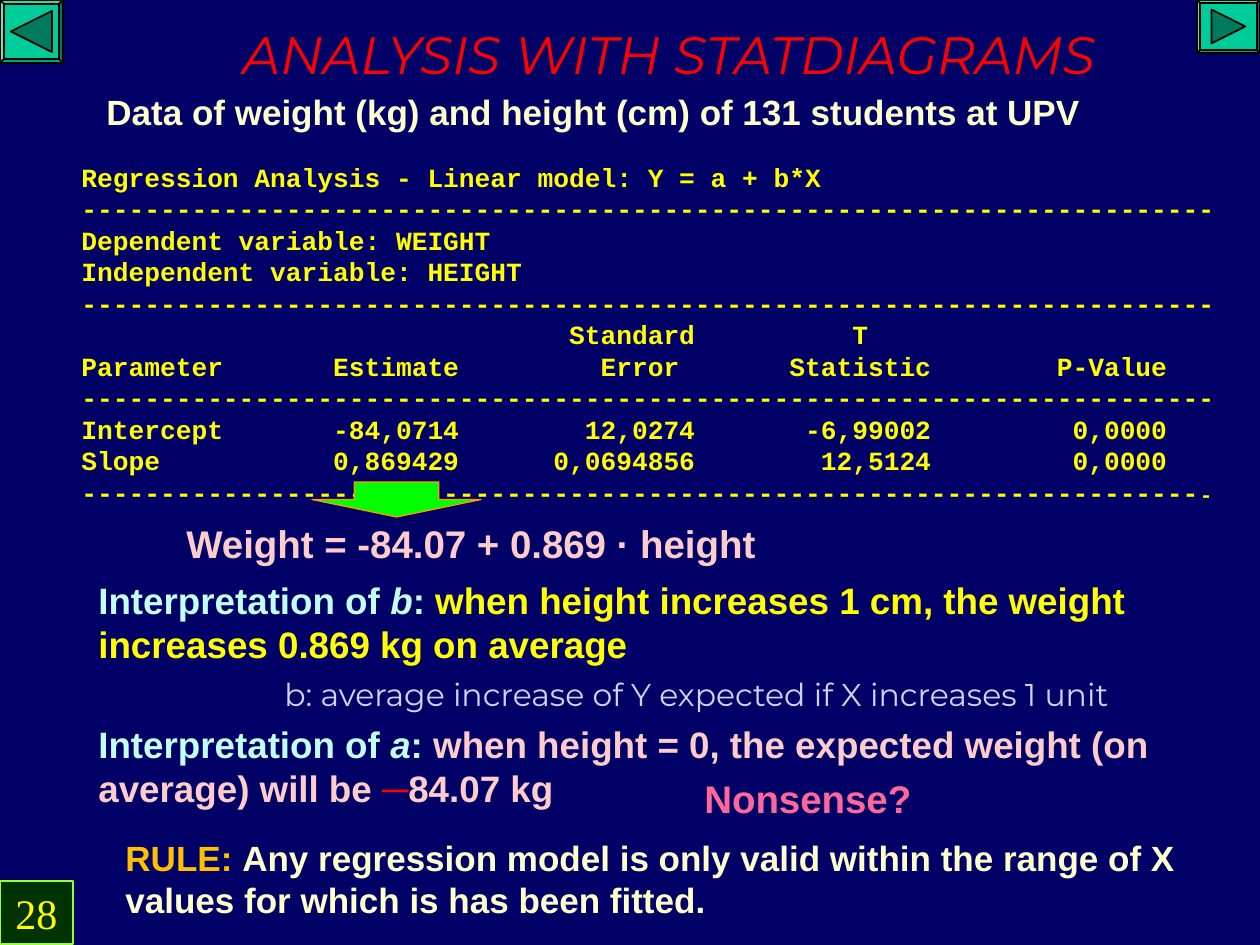
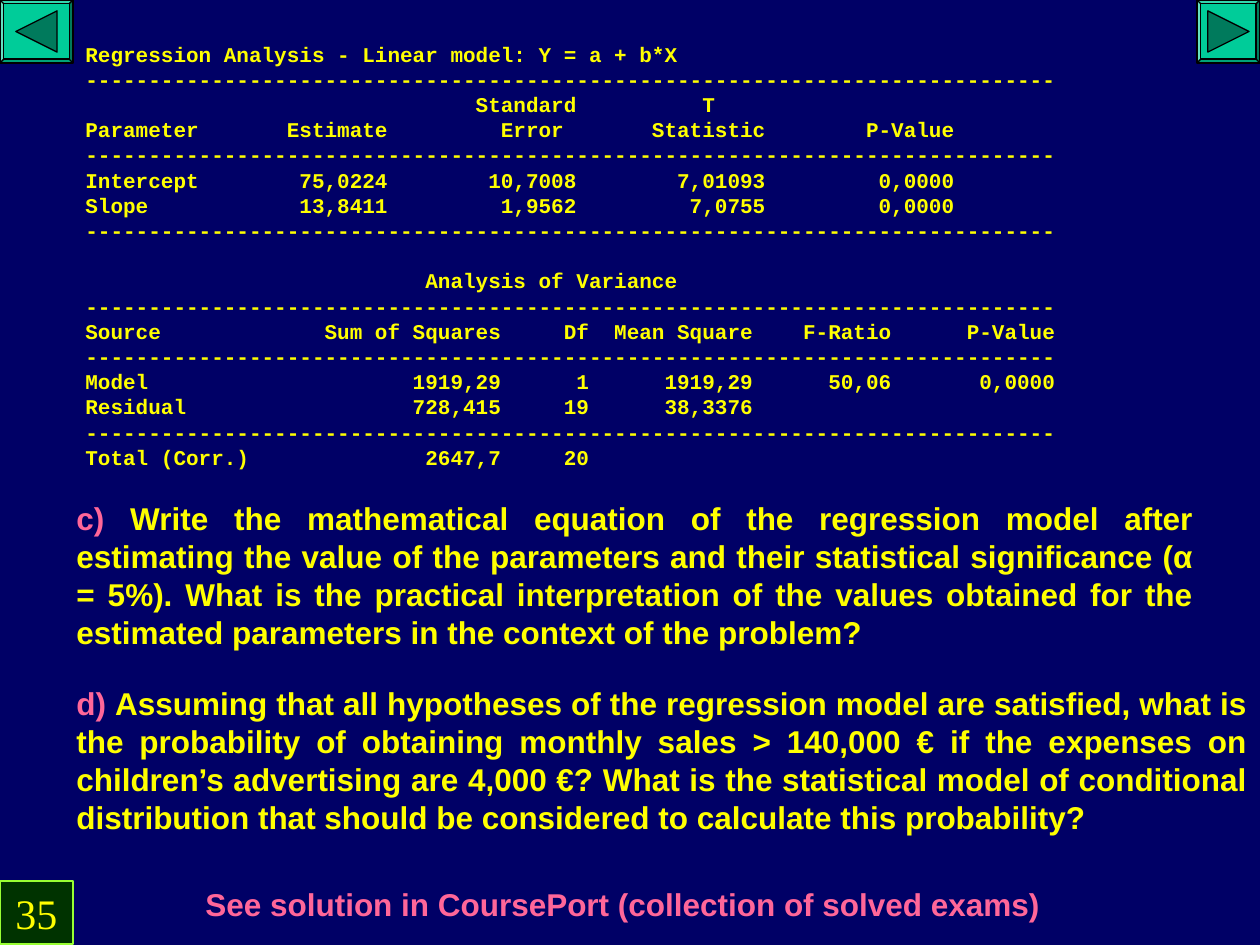
import pptx
import pptx.util
import pptx.dml.color
import pptx.enum.shapes
import pptx.enum.text

SHAPE = pptx.enum.shapes.MSO_SHAPE
ALIGN = pptx.enum.text.PP_ALIGN
ANCHOR = pptx.enum.text.MSO_ANCHOR

NAVY, YELLOW, CREAM, PINK = "000066", "FFFF00", "FFFFCC", "FF6699"
ROSE, AQUA, RED, BLACK = "FFCCCC", "C2FFF0", "FF0000", "000000"
BUTTON, BUTTON_DARK = "00CC99", "007A5C"

MODEL = "Regression Analysis - Linear model: Y = a + b*X"
HEADINGS = [
    "                               Standard          T",
    "Parameter       Estimate         Error       Statistic        P-Value",
]


def px(length):
    return pptx.util.Emu(round(length * 914400 / 126))


def colour(code):
    return pptx.dml.color.RGBColor.from_string(code)


class Lesson:
    """Holds the deck, its shared style and the current page."""

    width, height = 1260, 945
    leading = 1.2

    def __init__(self):
        self.deck = pptx.Presentation()
        self.deck.slide_width = px(self.width)
        self.deck.slide_height = px(self.height)
        self.page = None

    def new_page(self, number):
        self.page = self.deck.slides.add_slide(self.deck.slide_layouts[6])
        self.page.background.fill.solid()
        self.page.background.fill.fore_color.rgb = colour(NAVY)
        badge = self.shape(SHAPE.RECTANGLE, 0, 881, 73, 63, "003300", "99FF33")
        self.fill_text(badge, [[(number, YELLOW)]], 24, "Times New Roman", False, ALIGN.CENTER)

    def paint(self, shape, fill, line, weight=0.75):
        shape.shadow.inherit = False
        shape.fill.solid()
        shape.fill.fore_color.rgb = colour(fill)
        shape.line.color.rgb = colour(line)
        shape.line.width = pptx.util.Pt(weight)
        return shape

    def shape(self, kind, left, top, width, height, fill, line, weight=0.75):
        shape = self.page.shapes.add_shape(kind, px(left), px(top), px(width), px(height))
        return self.paint(shape, fill, line, weight)

    def fill_text(self, box, paras, size, font, bold, align):
        frame = box.text_frame
        frame.word_wrap = True
        for index, spans in enumerate(paras):
            para = frame.add_paragraph() if index else frame.paragraphs[0]
            para.alignment = align
            para.line_spacing = pptx.util.Pt(size * self.leading)
            para.font.size = pptx.util.Pt(size)
            para.font.name = font
            para.font.bold = bold
            for text, code, *italic in spans:
                span = para.add_run()
                span.text = text
                span.font.color.rgb = colour(code)
                if italic:
                    span.font.italic = True
        return frame

    def text(self, left, top, width, height, spans, size, font="Arial", bold=True,
             align=ALIGN.LEFT, anchor=ANCHOR.TOP):
        box = self.page.shapes.add_textbox(px(left), px(top), px(width), px(height))
        frame = self.fill_text(box, [spans], size, font, bold, align)
        frame.vertical_anchor = anchor

    def listing(self, left, top, width, height, lines, size):
        box = self.page.shapes.add_textbox(px(left), px(top), px(width), px(height))
        paras = [[(line, YELLOW)] for line in lines]
        return self.fill_text(box, paras, size, "Courier New", True, ALIGN.LEFT)

    def button(self, left, width, height, direction, weight):
        bevel = self.shape(SHAPE.BEVEL, left, 0, width, height, BUTTON, BLACK, weight)
        bevel.adjustments[0] = 0.06
        middle_x, middle_y = left + width / 2, height / 2
        half = 0.375 * (min(width, height) - 8)
        base = middle_x - direction * half
        outline = self.page.shapes.build_freeform(px(base), px(middle_y - half))
        outline.add_line_segments([
            (px(middle_x + direction * half), px(middle_y)),
            (px(base), px(middle_y + half)),
        ])
        self.paint(outline.convert_to_shape(), BUTTON_DARK, BLACK, weight)


def add_analysis(lesson):
    lesson.new_page("28")
    dashes = "-" * 72
    report = lesson.listing(69, 155, 1191, 359, [
        MODEL,
        dashes,
        "Dependent variable: WEIGHT",
        "Independent variable: HEIGHT",
        dashes,
        *HEADINGS,
        dashes,
        "Intercept       -84,0714        12,0274       -6,99002         0,0000",
        "Slope           0,869429      0,0694856        12,5124         0,0000",
        dashes[:-1],
    ], 15)
    last_dash = report.paragraphs[-1].add_run()
    last_dash.text = "-"
    last_dash.font.size = pptx.util.Pt(12)
    last_dash.font.color.rgb = colour(YELLOW)

    lesson.text(162, 16, 1014, 76, [("ANALYSIS WITH STATDIAGRAMS", RED, True)], 30,
                "Montserrat", False, ALIGN.CENTER)
    lesson.text(94, 84, 1102, 55,
                [("Data of weight (kg) and height (cm) of 131 students at UPV", CREAM)], 20)
    lesson.text(86, 582, 1131, 79, [
        ("Interpretation of ", AQUA), ("b", AQUA, True), (": ", AQUA),
        ("when height increases 1 cm, the weight increases 0.869 kg on average", YELLOW),
    ], 21, anchor=ANCHOR.MIDDLE)
    lesson.text(86, 726, 1131, 79, [
        ("Interpretation of ", AQUA), ("a", AQUA, True), (": ", AQUA),
        ("when height = 0, the expected weight (on average) will be ", ROSE),
        ("─", RED), ("84.07 kg", ROSE),
    ], 21, anchor=ANCHOR.MIDDLE)
    lesson.text(174, 512, 694, 63, [("Weight = -84.07 + 0.869 · height", ROSE)], 22,
                anchor=ANCHOR.MIDDLE)
    lesson.shape(SHAPE.DOWN_ARROW, 312, 482, 169, 35, "00FF00", "FF9900")
    lesson.text(692, 767, 315, 63, [("Nonsense?", PINK)], 22, anchor=ANCHOR.MIDDLE)
    lesson.text(113, 847, 1076, 63, [
        ("RULE: ", "FFC000"),
        ("Any regression model is only valid within the range of X values "
         "for which is has been fitted.", CREAM),
    ], 20, anchor=ANCHOR.MIDDLE)
    lesson.text(272, 669, 980, 50,
                [("b: average increase of Y expected if X increases 1 unit", "D2D2F4")],
                18, "Montserrat", False)
    lesson.button(1197, 63, 53, 1, 1)
    lesson.button(0, 63, 63, -1, 1)


def add_exercise(lesson):
    lesson.new_page("35")
    dashes = "-" * 77
    variance_title = "                           Analysis of Variance"
    lines = [
        MODEL,
        dashes,
        *HEADINGS,
        dashes,
        "Intercept        75,0224        10,7008        7,01093         0,0000",
        "Slope            13,8411         1,9562         7,0755         0,0000",
        dashes,
        variance_title,
        dashes,
        "Source             Sum of Squares     Df  Mean Square    F-Ratio      P-Value",
        dashes,
        "Model                     1919,29      1      1919,29      50,06       0,0000",
        "Residual                  728,415     19      38,3376",
        dashes,
        "Total (Corr.)              2647,7     20",
    ]
    report = lesson.listing(73, 35, 1121, 441, lines, 12)
    title = report.paragraphs[lines.index(variance_title)]
    title.space_before = pptx.util.Pt(12 * lesson.leading)

    lesson.text(64, 493, 1142, 164, [
        ("c)", PINK),
        (" Write the mathematical equation of the regression model after estimating the "
         "value of the parameters and their statistical significance (α = 5%). What is the "
         "practical interpretation of the values obtained for the estimated parameters in "
         "the context of the problem?", YELLOW),
    ], 18, align=ALIGN.JUSTIFY)
    lesson.text(64, 678, 1196, 164, [
        ("d) ", PINK),
        ("Assuming that all hypotheses of the regression model are satisfied, what is the "
         "probability of obtaining monthly sales > 140,000 € if the expenses on children’s "
         "advertising are 4,000 €? What is the statistical model of conditional distribution "
         "that should be considered to calculate this probability?", YELLOW),
    ], 18, align=ALIGN.JUSTIFY)
    lesson.text(193, 879, 983, 50,
                [("See solution in CoursePort (collection of solved exams)", PINK)], 18)
    lesson.button(1197, 63, 63, 1, 0.75)
    lesson.button(0, 73, 63, -1, 0.75)


def main():
    lesson = Lesson()
    add_analysis(lesson)
    add_exercise(lesson)
    lesson.deck.save("out.pptx")


if __name__ == "__main__":
    main()
